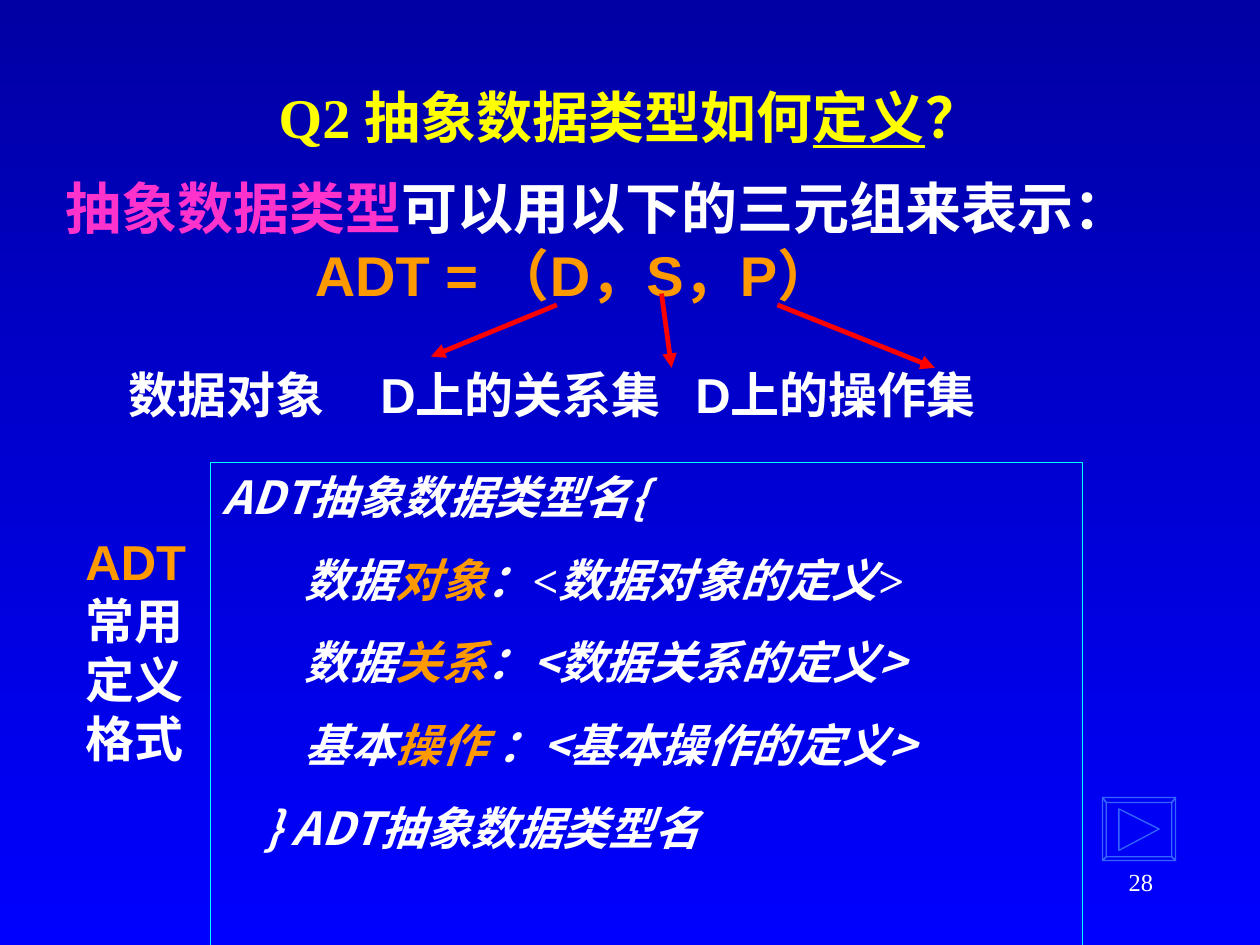
from pptx import Presentation
from pptx.dml.color import RGBColor
from pptx.enum.shapes import MSO_CONNECTOR as Connector, MSO_SHAPE as Shape
from pptx.enum.text import MSO_ANCHOR as Anchor, PP_ALIGN as Align
from pptx.oxml.ns import qn
from pptx.util import Inches, Pt
from lxml.etree import SubElement

CJK = "Noto Sans CJK SC"
SERIF = "Times New Roman"
SANS = "Arial"
WHITE, YELLOW, ORANGE = "FFFFFF", "FFFF00", "FF9900"
PINK, RED, CYAN, BLUE = "FF33CC", "FF0000", "00FFFF", "3366FF"


def color(value):
    return RGBColor.from_string(value)


class SlideBuilder:
    def __init__(self, slide):
        self.slide = slide

    def background(self, top, bottom):
        fill = self.slide.background.fill
        fill.gradient()
        fill.gradient_angle = 270
        for stop, value, position in zip(fill.gradient_stops, (top, bottom), (0, 1)):
            stop.color.rgb = color(value)
            stop.position = position

    def text_box(self, left, top, width, height, anchor=Anchor.TOP):
        shape = self.slide.shapes.add_textbox(
            Inches(left), Inches(top), Inches(width), Inches(height))
        return self.prepare(shape, anchor)

    def frame(self, left, top, width, height, line):
        shape = self.slide.shapes.add_shape(
            Shape.RECTANGLE, Inches(left), Inches(top), Inches(width), Inches(height))
        self.outline(shape, line)
        return self.prepare(shape, Anchor.TOP)

    def prepare(self, shape, anchor):
        text_frame = shape.text_frame
        text_frame.word_wrap = True
        text_frame.vertical_anchor = anchor
        return text_frame

    def outline(self, shape, line):
        shape.shadow.inherit = False
        shape.fill.background()
        shape.line.color.rgb = color(line)
        shape.line.width = Pt(0.75)

    def add_text(self, text_frame, runs, size, font, bold=True, italic=False,
                 align=Align.LEFT, before=0, indent=0, tabs=()):
        paragraph = text_frame.paragraphs[0]
        if paragraph.runs:
            paragraph = text_frame.add_paragraph()
        paragraph.alignment = align
        paragraph.space_before = Pt(before)
        properties = paragraph._p.get_or_add_pPr()
        properties.set("marL", str(Inches(indent)))
        properties.set("indent", "0")
        if tabs:
            tab_list = SubElement(properties, qn("a:tabLst"))
            for position in tabs:
                SubElement(tab_list, qn("a:tab"), pos=str(Inches(position)), algn="l")
        for text, value, *special in runs:
            run = paragraph.add_run()
            run.text = text
            run.font.size = Pt(size)
            run.font.name = special[0] if special else font
            run.font.bold = bold
            run.font.italic = italic
            run.font.color.rgb = color(value)
            SubElement(run._r.get_or_add_rPr(), qn("a:ea"), typeface=CJK)
        return paragraph

    def arrow(self, start, end):
        connector = self.slide.shapes.add_connector(
            Connector.STRAIGHT, *map(Inches, start + end))
        connector.line.color.rgb = color(RED)
        connector.line.width = Pt(2.75)
        SubElement(connector.line._get_or_add_ln(), qn("a:tailEnd"), type="triangle")
        SubElement(connector._element.spPr, qn("a:effectLst"))

    def outlines(self, contours, line):
        points = [[(Inches(x), Inches(y)) for x, y in contour] for contour in contours]
        builder = self.slide.shapes.build_freeform(*points[0][0])
        for index, contour in enumerate(points):
            if index:
                builder.move_to(*contour[0])
            builder.add_line_segments(contour[1:], close=True)
        self.outline(builder.convert_to_shape(), line)


def rectangle(left, top, right, bottom):
    return [(left, top), (right, top), (right, bottom), (left, bottom)]


def main():
    presentation = Presentation()
    presentation.slide_width, presentation.slide_height = Inches(10), Inches(7.5)
    slide = presentation.slides.add_slide(presentation.slide_layouts[6])
    builder = SlideBuilder(slide)
    builder.background("0000A5", "0000FF")

    page_number = builder.text_box(7.17, 6.83, 2.08, 0.5)
    builder.add_text(page_number, [("28", WHITE)], 14, SERIF, bold=False, align=Align.RIGHT)

    title = builder.text_box(0.75, 0.67, 8.5, 0.5, Anchor.MIDDLE)
    heading = builder.add_text(
        title, [("Q2 抽象数据类型如何", YELLOW), ("定义", YELLOW), ("？", YELLOW)],
        32, SERIF, align=Align.CENTER)
    heading.runs[1].font.underline = True

    triple = builder.text_box(0.42, 1.33, 9.17, 2.1)
    builder.add_text(
        triple, [("抽象数据类型", PINK), ("可以用以下的三元组来表示：", WHITE)], 32, SANS)
    builder.add_text(triple, [("ADT = （D，S，P）", ORANGE)], 32, SANS, indent=1.98)
    builder.add_text(
        triple, [("\t数据对象\tD上的关系集\tD上的操作集", WHITE)], 28, SANS,
        before=32, tabs=(1.4, 3.32, 6.08))

    definition = builder.frame(1.67, 3.67, 6.92, 4.47, CYAN)
    entries = [
        (0, [("ADT抽象数据类型名{", WHITE)]),
        (0.65, [("数据", WHITE), ("对象", ORANGE), ("：", WHITE),
                ("<数据对象的定义>", WHITE, SERIF)]),
        (0.65, [("数据", WHITE), ("关系", ORANGE), ("：<数据关系的定义>", WHITE)]),
        (0.65, [("基本", WHITE), ("操作", ORANGE), (" ：<基本操作的定义>", WHITE)]),
        (0.33, [("} ADT抽象数据类型", WHITE), ("名", WHITE, SERIF)]),
    ]
    for index, (indent, runs) in enumerate(entries):
        builder.add_text(definition, runs, 26, CJK, italic=True,
                         before=16.2 if index else 0, indent=indent)

    caption = builder.text_box(0.58, 4.17, 1.08, 1.97)
    builder.add_text(caption, [("ADT", ORANGE), ("常用定义格式", WHITE)], 28, SANS)

    for start, end in [((4.42, 2.42), (3.42, 2.83)),
                       ((5.25, 2.33), (5.33, 2.92)),
                       ((6.17, 2.42), (7.42, 2.92))]:
        builder.arrow(start, end)

    outer = rectangle(8.75, 6.33, 9.33, 6.83)
    inner = rectangle(8.78, 6.37, 9.3, 6.8)
    bevels = [[outer[i], outer[(i + 1) % 4], inner[(i + 1) % 4], inner[i]]
              for i in range(4)]
    triangle = [(8.88, 6.42), (9.2, 6.58), (8.88, 6.75)]
    builder.outlines([outer, *bevels, triangle], BLUE)

    presentation.save("out.pptx")


if __name__ == "__main__":
    main()
